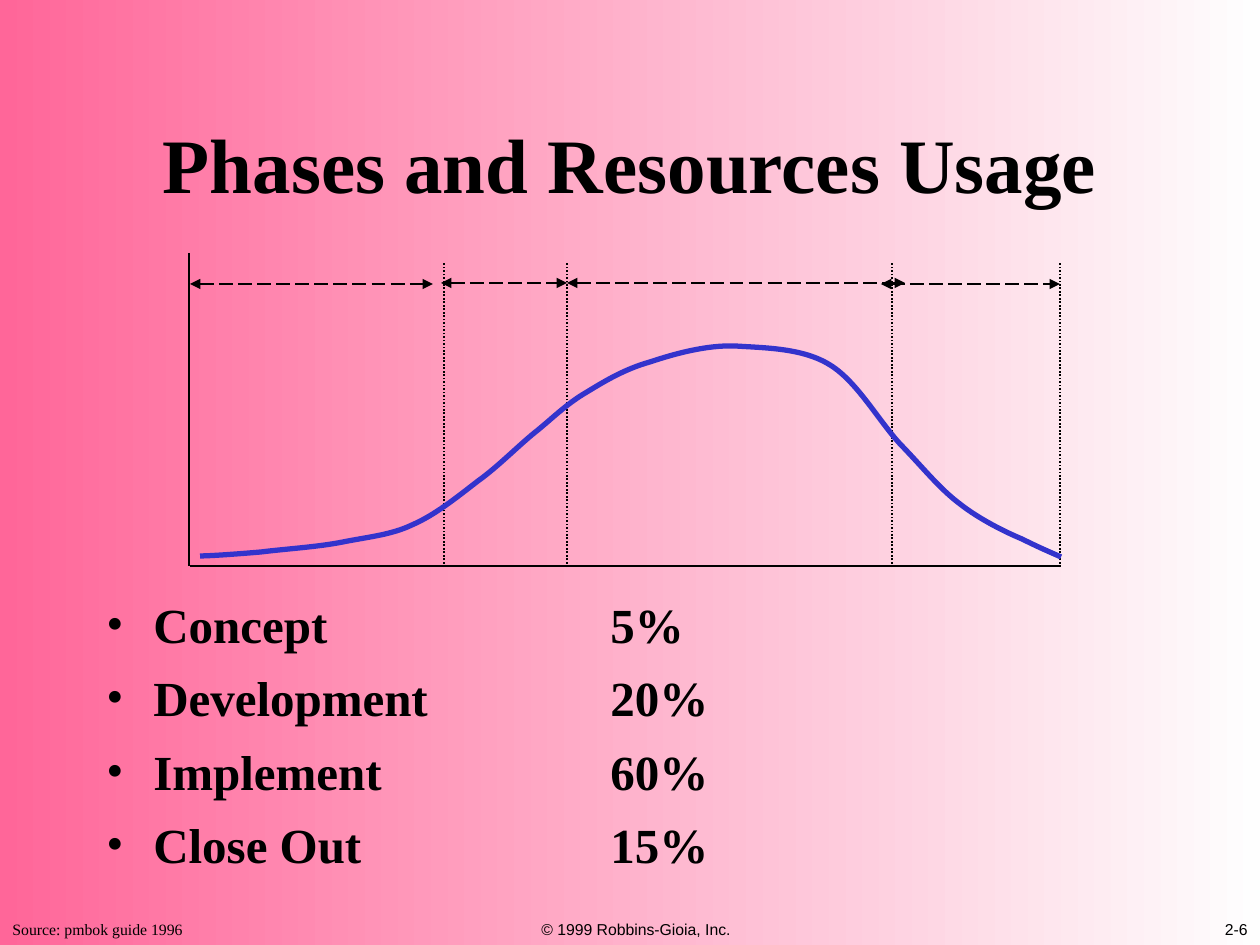
from lxml import etree
from pptx import Presentation
from pptx import util as u
from pptx.dml.color import RGBColor
from pptx.enum import dml, shapes, text
from pptx.oxml.ns import qn

PX = u.Inches(1) / 126
BLACK, BLUE, PINK, WHITE = "000000", "3333CC", "FF6699", "FEFEFE"
SERIF, SANS = "Times New Roman", "Arial"
LEFT, CENTER, RIGHT = text.PP_ALIGN.LEFT, text.PP_ALIGN.CENTER, text.PP_ALIGN.RIGHT
TOP, MIDDLE, BOTTOM = text.MSO_ANCHOR.TOP, text.MSO_ANCHOR.MIDDLE, text.MSO_ANCHOR.BOTTOM

PHASES = [("Concept", "5%"), ("Development", "20%"),
          ("Implement", "60%"), ("Close Out", "15%")]
BOUNDARIES = [444, 567, 892, 1060]
SPANS = [(190, 433, 284), (441, 567, 283), (567, 905, 283), (881, 1060, 284)]

# Start of the usage curve, then two control points and an end point per segment
CURVE = [
    (200, 556),
    (210, 556), (238, 554), (261, 552),
    (285, 549), (318, 547), (343, 542),
    (368, 537), (391, 535), (412, 525),
    (435, 515), (456, 498), (478, 481),
    (499, 466), (520, 444), (538, 430),
    (556, 415), (568, 403), (587, 392),
    (605, 381), (625, 369), (650, 362),
    (674, 354), (706, 345), (735, 346),
    (765, 348), (803, 348), (830, 365),
    (858, 382), (881, 425), (903, 447),
    (925, 470), (940, 489), (960, 504),
    (979, 519), (1005, 532), (1022, 539),
    (1040, 548), (1052, 553), (1061, 557),
]


def px(length):
    return u.Emu(round(length * PX))


def color(code):
    return RGBColor.from_string(code)


def paint_background(slide):
    fill = slide.background.fill
    fill.gradient()
    fill.gradient_angle = 180
    for stop, code in zip(fill.gradient_stops, (WHITE, PINK)):
        stop.color.rgb = color(code)


def style_paragraph(paragraph, align, **font):
    paragraph.alignment = align
    paragraph.font.color.rgb = color(BLACK)
    for name, value in font.items():
        setattr(paragraph.font, name, value)


def add_text(slide, box, lines, align=LEFT, anchor=TOP, wrap=True, **font):
    frame = slide.shapes.add_textbox(*map(px, box)).text_frame
    frame.word_wrap = wrap
    frame.vertical_anchor = anchor
    frame.text = "\n".join(lines)
    for paragraph in frame.paragraphs:
        style_paragraph(paragraph, align, **font)
    return frame


def add_phase_list(slide):
    frame = add_text(slide, (94, 588, 1072, 284),
                     ["\t".join(phase) for phase in PHASES])
    for index, paragraph in enumerate(frame.paragraphs):
        props = paragraph._p.get_or_add_pPr()
        props.set("marL", str(px(47)))
        props.set("indent", str(px(-47)))
        for child in list(props):
            props.remove(child)
        etree.SubElement(props, qn("a:buFont"), typeface=SERIF)
        etree.SubElement(props, qn("a:buChar"), char="•")
        tabs = etree.SubElement(props, qn("a:tabLst"))
        etree.SubElement(tabs, qn("a:tab"), pos=str(px(504)), algn="l")
        style_paragraph(paragraph, LEFT, name=SERIF, size=u.Pt(28), bold=True)
        if index:
            paragraph.space_before = u.Pt(8.4)


def add_line(slide, start, end, dash=None, arrows=False):
    line = slide.shapes.add_connector(
        shapes.MSO_CONNECTOR.STRAIGHT, *map(px, start + end))
    line.line.color.rgb = color(BLACK)
    line.line.width = u.Pt(1)
    if dash:
        line.line.dash_style = dash
    if arrows:
        for tip in ("a:headEnd", "a:tailEnd"):
            etree.SubElement(line.line._get_or_add_ln(), qn(tip), type="triangle")
    etree.SubElement(line._element.spPr, qn("a:effectLst"))


def add_curve(slide, points):
    builder = slide.shapes.build_freeform(*points[0], scale=PX)
    builder.add_line_segments(points[1:], close=False)
    curve = builder.convert_to_shape()
    curve.shadow.inherit = False
    curve.fill.background()
    curve.line.color.rgb = color(BLUE)
    curve.line.width = u.Pt(3)
    # Turn each three straight steps into one Bézier segment
    outline = curve._element.find(".//" + qn("a:path"))
    steps = outline.findall(qn("a:lnTo"))
    for first in range(0, len(steps), 3):
        bezier = etree.SubElement(outline, qn("a:cubicBezTo"))
        for step in steps[first:first + 3]:
            bezier.append(step[0])
            outline.remove(step)


def main():
    deck = Presentation()
    deck.slide_width, deck.slide_height = px(1260), px(945)
    slide = deck.slides.add_slide(deck.slide_layouts[6])
    paint_background(slide)

    # Footer
    small = u.Pt(9)
    add_text(slide, (0, 914, 195, 31), ["Source: pmbok guide 1996"],
             wrap=False, name=SERIF, size=small)
    add_text(slide, (431, 882, 410, 63), ["© 1999 Robbins-Gioia, Inc."],
             CENTER, BOTTOM, name=SANS, size=small)
    add_text(slide, (850, 882, 410, 63), ["2-6"],
             RIGHT, BOTTOM, name=SANS, size=small)

    # Title and phase shares
    add_text(slide, (94, 84, 1072, 158), ["Phases and Resources Usage"],
             CENTER, MIDDLE, name=SERIF, size=u.Pt(44), bold=True)
    add_phase_list(slide)

    # Axes, phase boundaries and phase spans
    add_line(slide, (189, 253), (189, 566))
    for x in BOUNDARIES:
        add_line(slide, (x, 567), (x, 262), dml.MSO_LINE.ROUND_DOT)
    for left, right, y in SPANS:
        add_line(slide, (left, y), (right, y), dml.MSO_LINE.LONG_DASH, arrows=True)

    # Resource usage
    add_curve(slide, CURVE)
    add_line(slide, (190, 566), (1060, 566))

    deck.save("out.pptx")


if __name__ == "__main__":
    main()
